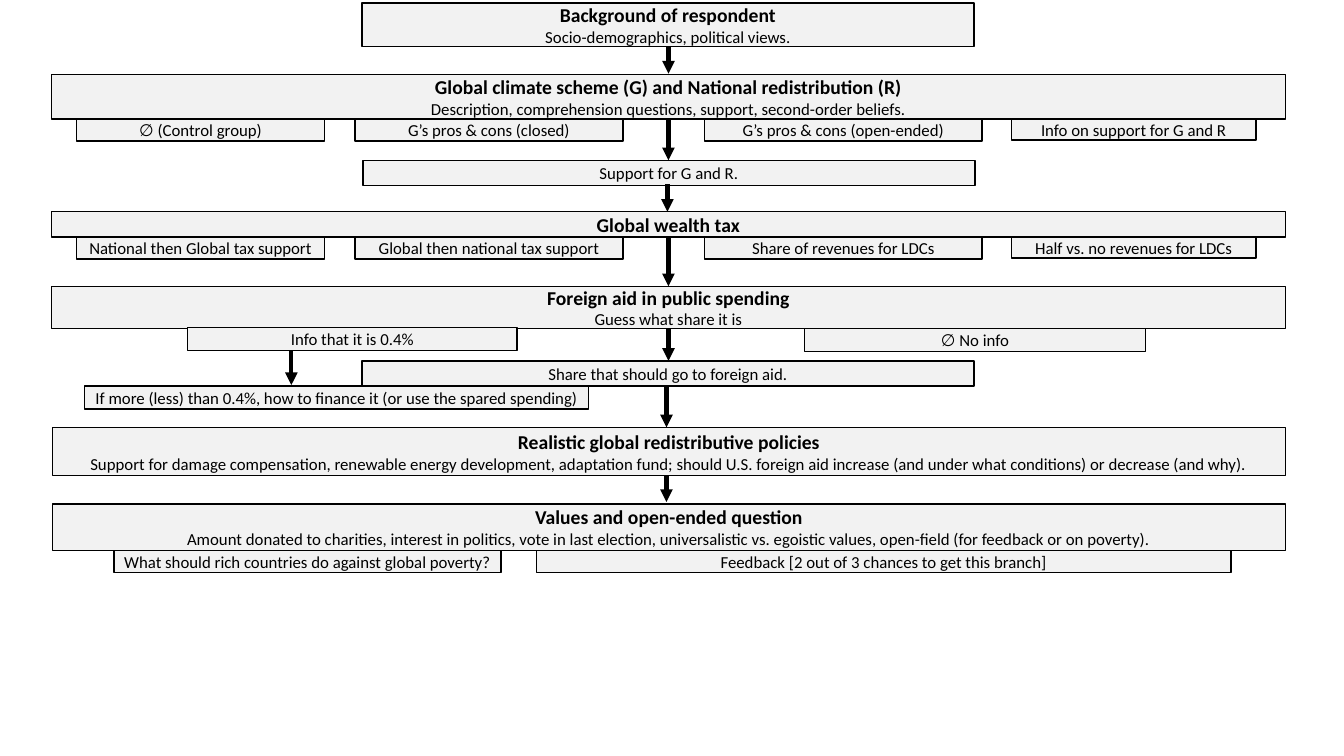
from lxml import etree
from pptx import Presentation
from pptx import util as u
from pptx.dml.color import RGBColor
from pptx.enum import shapes, text
from pptx.oxml.ns import qn

BLACK = RGBColor(0x00, 0x00, 0x00)
LIGHT_GREY = RGBColor(0xF2, 0xF2, 0xF2)
FONT = "Calibri"

# Survey blocks: left, top, width, height, title, detail
BLOCKS = [
    (3.59, 0.03, 6.07, 0.43, "Background of respondent",
     "Socio-demographics, political views."),
    (0.51, 0.74, 12.24, 0.44, "Global climate scheme (G) and National redistribution (R)",
     "Description, comprehension questions, support, second-order beliefs."),
    (0.51, 2.1, 12.24, 0.25, "Global wealth tax", None),
    (0.51, 2.84, 12.24, 0.42, "Foreign aid in public spending", "Guess what share it is"),
    (0.52, 4.24, 12.23, 0.48, "Realistic global redistributive policies",
     "Support for damage compensation, renewable energy development, adaptation fund; "
     "should U.S. foreign aid increase (and under what conditions) or decrease (and why)."),
    (0.52, 5, 12.23, 0.46, "Values and open-ended question",
     "Amount donated to charities, interest in politics, vote in last election, "
     "universalistic vs. egoistic values, open-field (for feedback or on poverty)."),
]

# Four random branches share the same columns: left, width, height
BRANCH_COLUMNS = [(0.76, 2.46, 0.22), (3.52, 2.66, 0.22), (6.99, 2.75, 0.22), (10.03, 2.43, 0.21)]
BRANCH_ROWS = [
    (1.18, ["∅ (Control group)", "G’s pros & cons (closed)",
            "G’s pros & cons (open-ended)", "Info on support for G and R"]),
    (2.35, ["National then Global tax support", "Global then national tax support",
            "Share of revenues for LDCs", "Half vs. no revenues for LDCs"]),
]

# Single questions and two-way branches: left, top, width, height, wording
QUESTIONS = [
    (3.6, 1.59, 6.07, 0.25, "Support for G and R."),
    (1.86, 3.25, 3.27, 0.23, "Info that it is 0.4%"),
    (7.98, 3.26, 3.38, 0.23, "∅ No info"),
    (3.59, 3.58, 6.07, 0.25, "Share that should go to foreign aid."),
    (0.84, 3.83, 5, 0.23,
     "If more (less) than 0.4%, how to finance it (or use the spared spending)"),
    (1.13, 5.46, 3.84, 0.22, "What should rich countries do against global poverty?"),
    (5.32, 5.46, 6.89, 0.22, "Feedback [2 out of 3 chances to get this branch]"),
]

# Downward arrows: x, start, end
ARROWS = [
    (6.63, 0.46, 0.73), (6.63, 1.18, 1.59), (6.62, 1.83, 2.1), (6.63, 2.35, 2.84),
    (6.63, 3.26, 3.58), (2.89, 3.48, 3.82), (6.61, 3.83, 4.24), (6.61, 4.72, 4.98),
]


def add_line_of_text(para, wording, size, bold):
    para.alignment = text.PP_ALIGN.CENTER
    span = para.add_run()
    span.text = wording
    span.font.name = FONT
    span.font.size = u.Pt(size)
    span.font.bold = bold
    span.font.color.rgb = BLACK


def add_box(page, left, top, width, height, title=None, detail=None):
    box = page.shapes.add_shape(
        shapes.MSO_SHAPE.RECTANGLE,
        u.Inches(left), u.Inches(top), u.Inches(width), u.Inches(height))
    box.shadow.inherit = False
    box.fill.solid()
    box.fill.fore_color.rgb = LIGHT_GREY
    box.line.color.rgb = BLACK
    box.line.width = u.Pt(1)
    frame = box.text_frame
    frame.word_wrap = True
    frame.vertical_anchor = text.MSO_ANCHOR.MIDDLE
    para = frame.paragraphs[0]
    if title:
        add_line_of_text(para, title, 14, True)
    if detail:
        add_line_of_text(frame.add_paragraph() if title else para, detail, 12, False)


def add_arrow(page, x, start, end):
    arrow = page.shapes.add_connector(
        shapes.MSO_CONNECTOR.STRAIGHT,
        u.Inches(x), u.Inches(start), u.Inches(x), u.Inches(end))
    arrow.line.color.rgb = BLACK
    arrow.line.width = u.Pt(3)
    etree.SubElement(arrow.line._get_or_add_ln(), qn("a:tailEnd"), type="triangle")
    etree.SubElement(arrow._element.spPr, qn("a:effectLst"))


def main():
    deck = Presentation()
    deck.slide_width = u.Inches(13.33)
    deck.slide_height = u.Inches(7.5)
    page = deck.slides.add_slide(deck.slide_layouts[6])

    # Main blocks
    for block in BLOCKS:
        add_box(page, *block)

    # Four-way branches
    for top, wordings in BRANCH_ROWS:
        for (left, width, height), wording in zip(BRANCH_COLUMNS, wordings):
            add_box(page, left, top, width, height, detail=wording)

    # Questions and remaining branches
    for *place, wording in QUESTIONS:
        add_box(page, *place, detail=wording)

    # Flow
    for arrow in ARROWS:
        add_arrow(page, *arrow)

    deck.save("out.pptx")


if __name__ == "__main__":
    main()
